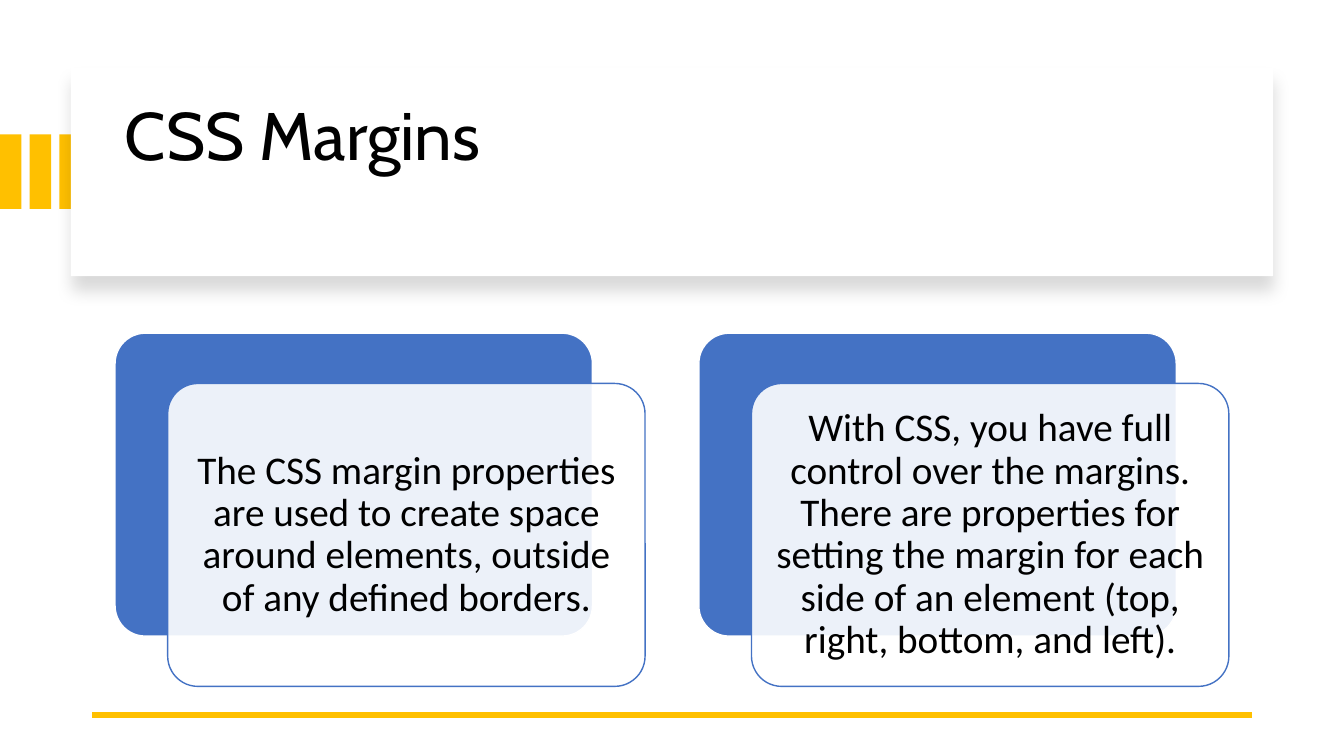
from lxml import etree
from pptx import Presentation
from pptx.dml.color import RGBColor
from pptx.enum.shapes import MSO_CONNECTOR as Link, MSO_SHAPE as Kind
from pptx.enum.text import MSO_ANCHOR as Anchor, PP_ALIGN as Align
from pptx.oxml.ns import qn
from pptx.util import Pt

# Content
TITLE = "CSS Margins"
CARDS = [
    "The CSS margin properties are used to create space around elements, "
    "outside of any defined borders.",
    "With CSS, you have full control over the margins. There are properties "
    "for setting the margin for each side of an element (top, right, bottom, "
    "and left).",
]

# Colours
GOLD = RGBColor(0xFF, 0xC0, 0x00)
BLUE = RGBColor(0x44, 0x72, 0xC4)
WHITE = RGBColor(0xFF, 0xFF, 0xFF)
BLACK = RGBColor(0, 0, 0)

# Layout in points: left, top, width, height
STRIPE, STRIPE_STEP = (0, 96, 15.3, 53.2), 21.25
PANEL = (50.6, 48.4, 858.8, 149)
HEAD = (82, 64, 801.4, 122.4)
CARD, CARD_STEP = (82.2, 238, 341, 216.4), 417
SHIFT_X, SHIFT_Y, INSET = 37.6, 35.9, 6.4
RULE_Y, RULE_X1, RULE_X2 = 510.6, 894.4, 66

# Text formats
HEAD_FONT = {"name": "Cabin", "size": Pt(48)}
CARD_FONT = {"name": "Calibri", "size": Pt(28)}
HEAD_FRAME = {"vertical_anchor": Anchor.TOP, "margin_top": Pt(9)}
CARD_FRAME = {"vertical_anchor": Anchor.MIDDLE}
CARD_FRAME.update({f"margin_{side}": Pt(8.4)
                   for side in ("left", "top", "right", "bottom")})


def put(obj, values):
    for key, val in values.items():
        setattr(obj, key, val)


def move(box, dx, dy=0):
    x, y, w, h = box
    return x + dx, y + dy, w, h


def add_box(slide, kind, box, fill, line=None):
    shape = slide.shapes.add_shape(kind, *map(Pt, box))
    shape.shadow.inherit = False
    shape.fill.solid()
    shape.fill.fore_color.rgb = fill
    if line is None:
        shape.line.fill.background()
    else:
        shape.line.color.rgb = line
        shape.line.width = Pt(1)
    if kind == Kind.ROUNDED_RECTANGLE:
        shape.adjustments[0] = 0.1
    return shape


def add_text(slide, box, text, font, frame, align):
    body = slide.shapes.add_textbox(*map(Pt, box)).text_frame
    body.word_wrap = True
    put(body, frame)
    para = body.paragraphs[0]
    put(para, {"alignment": align, "line_spacing": 0.9})
    run = para.add_run()
    run.text = text
    put(run.font, font)
    run.font.color.rgb = BLACK


def set_alpha(color, share):
    etree.SubElement(color, qn("a:alpha"), val=str(share * 1000))


def add_shadow(shape):
    effects = shape._element.spPr.find(qn("a:effectLst"))
    glow = etree.SubElement(
        effects, qn("a:outerShdw"), blurRad=str(Pt(11)), dist=str(Pt(10)),
        dir="5400000", algn="t", rotWithShape="0")
    set_alpha(etree.SubElement(glow, qn("a:srgbClr"), val=str(BLACK)), 15)


def add_rule(slide):
    rule = slide.shapes.add_connector(
        Link.STRAIGHT, Pt(RULE_X1), Pt(RULE_Y), Pt(RULE_X2), Pt(RULE_Y))
    rule.line.color.rgb = GOLD
    rule.line.width = Pt(4.5)
    etree.SubElement(rule._element.spPr, qn("a:effectLst"))


def add_card(slide, box, text):
    add_box(slide, Kind.ROUNDED_RECTANGLE, box, BLUE, WHITE)
    front = move(box, SHIFT_X, SHIFT_Y)
    shape = add_box(slide, Kind.ROUNDED_RECTANGLE, front, WHITE, BLUE)
    fill = shape._element.spPr.find(qn("a:solidFill"))
    set_alpha(fill[0], 90)
    x, y, w, h = front
    inner = x + INSET, y + INSET, w - 2 * INSET, h - 2 * INSET
    add_text(slide, inner, text, CARD_FONT, CARD_FRAME, Align.CENTER)


def main():
    deck = Presentation()
    put(deck, {"slide_width": Pt(960), "slide_height": Pt(540)})
    slide = deck.slides.add_slide(deck.slide_layouts[6])

    # Stripes behind the title panel
    for i in range(3):
        add_box(slide, Kind.RECTANGLE, move(STRIPE, i * STRIPE_STEP), GOLD)

    # Title panel
    add_shadow(add_box(slide, Kind.RECTANGLE, PANEL, WHITE))
    add_text(slide, HEAD, TITLE, HEAD_FONT, HEAD_FRAME, Align.LEFT)

    # Bottom rule and cards
    add_rule(slide)
    for i, text in enumerate(CARDS):
        add_card(slide, move(CARD, i * CARD_STEP), text)

    deck.save("out.pptx")


if __name__ == "__main__":
    main()
